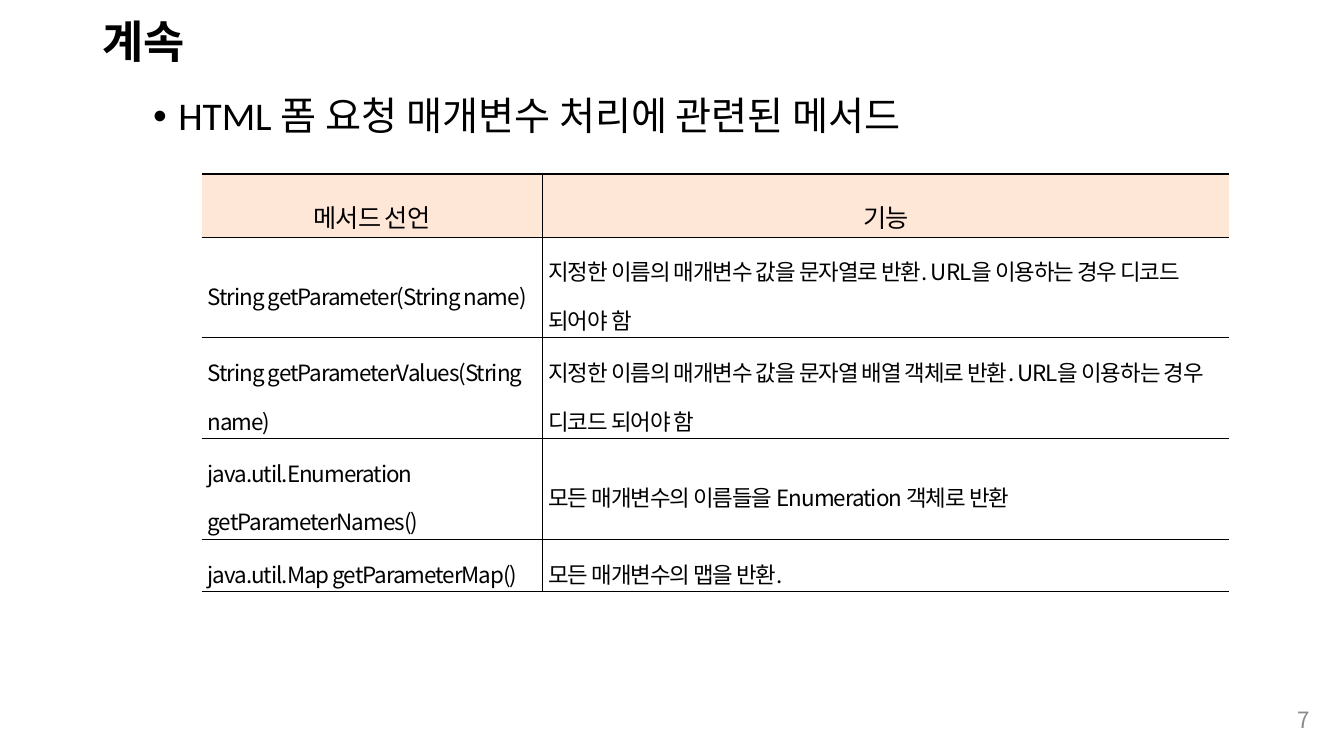
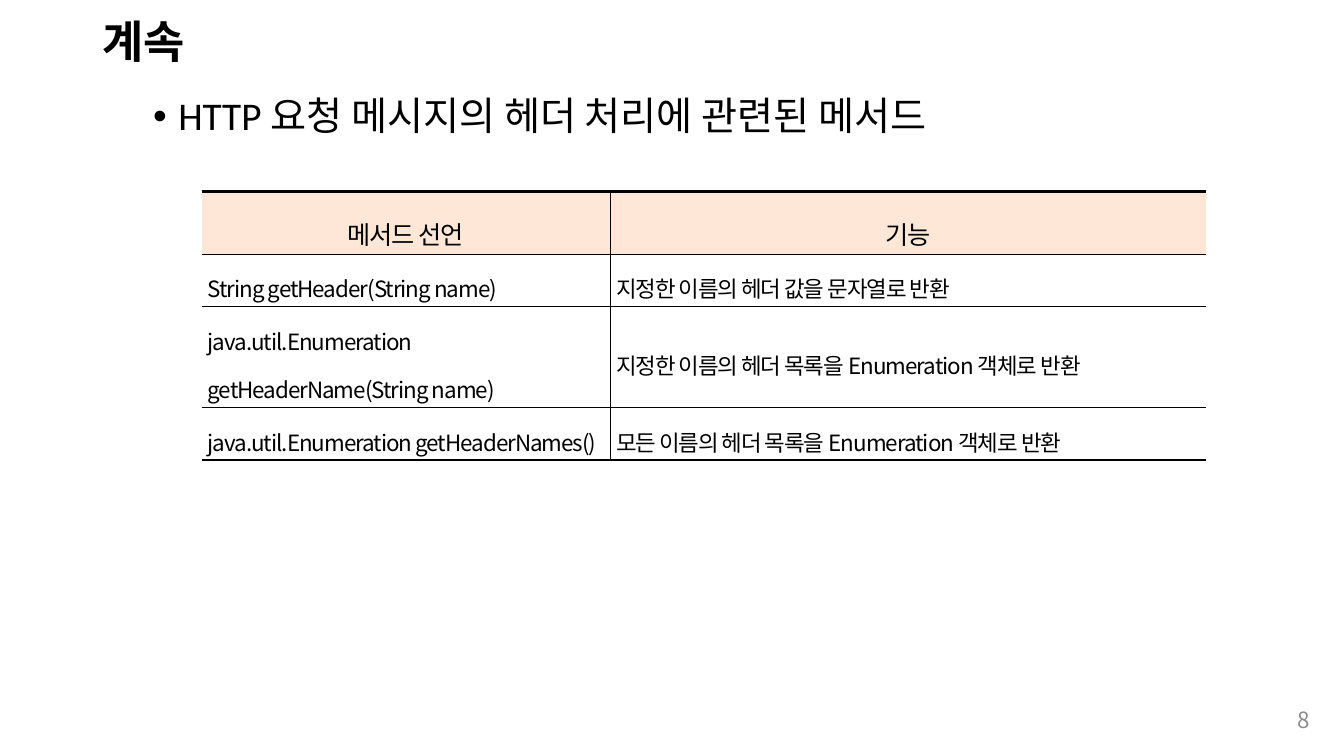
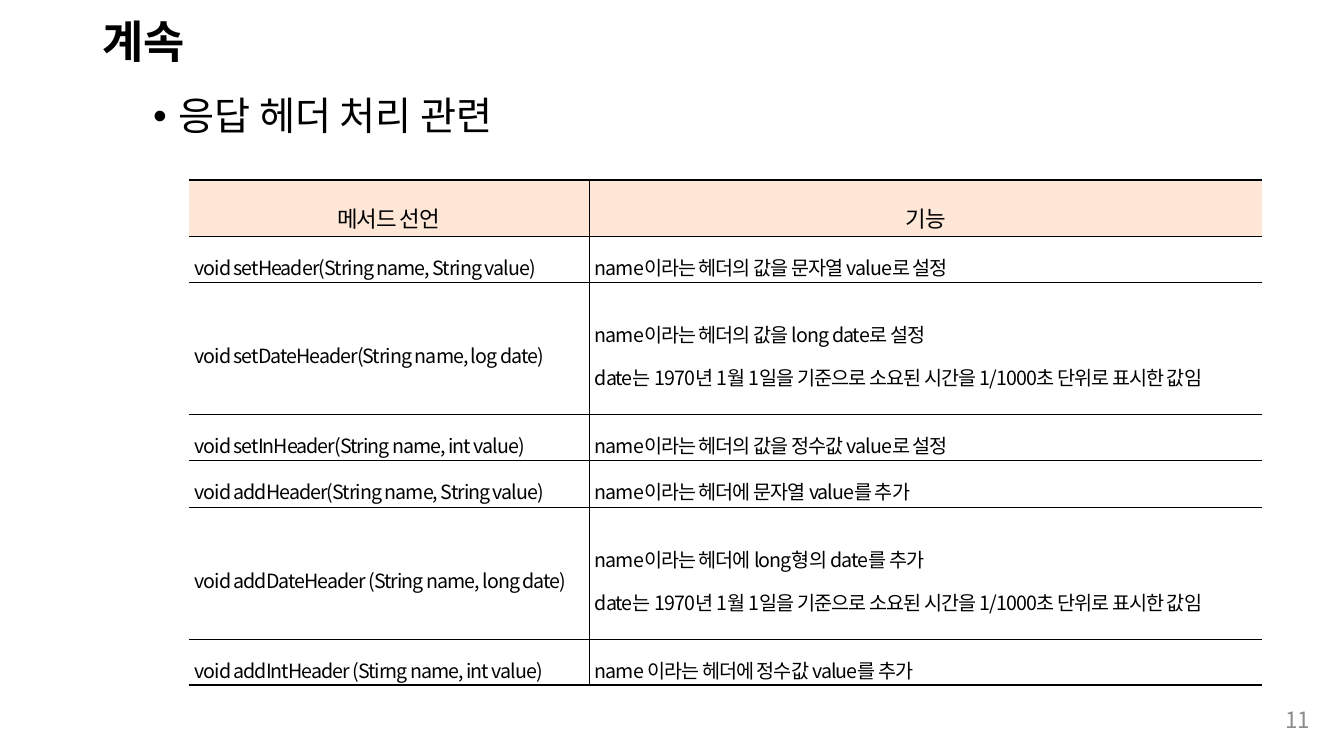
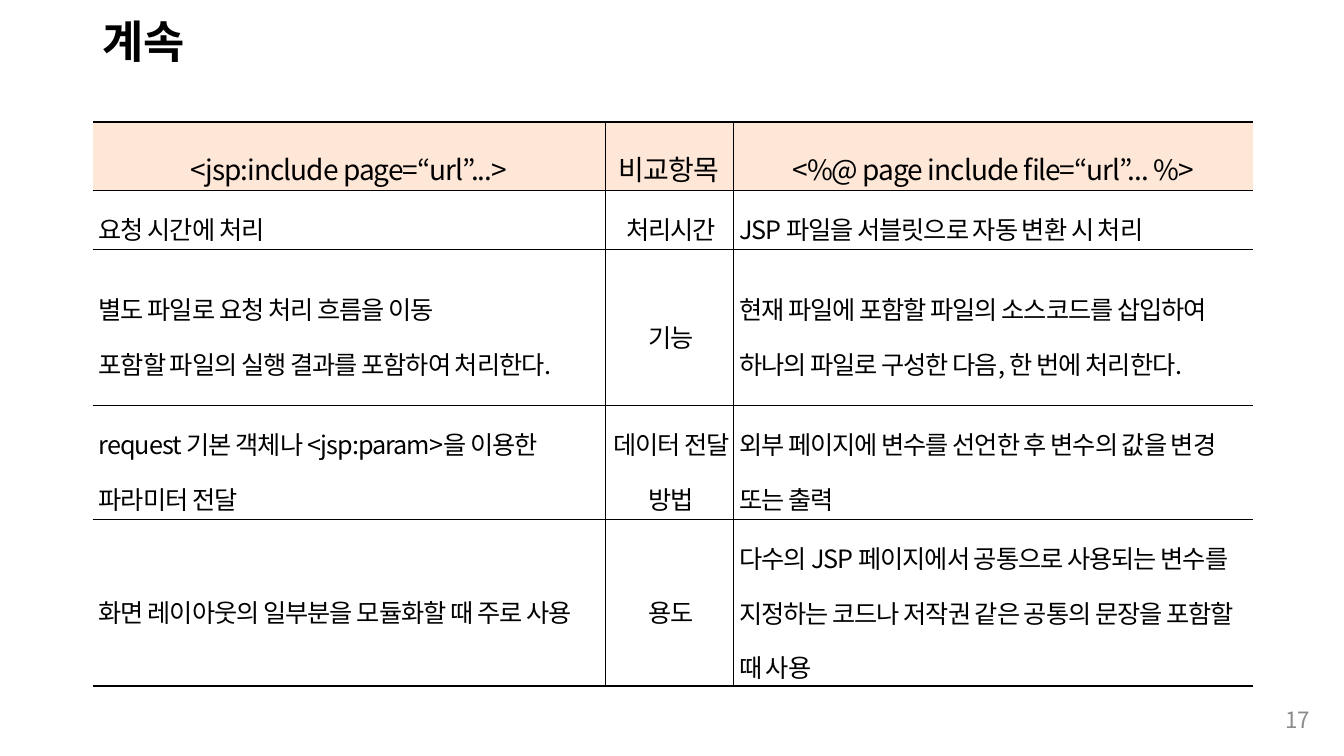
"""Build four slides of servlet and JSP method tables."""
from lxml.etree import SubElement
from pptx import Presentation
from pptx.dml.color import RGBColor
from pptx.enum.text import MSO_ANCHOR, PP_ALIGN
from pptx.oxml import parse_xml
from pptx.oxml.ns import nsdecls, qn
from pptx.util import Inches, Pt

BLACK = RGBColor(0x00, 0x00, 0x00)
GRAY = RGBColor(0x8C, 0x8C, 0x8C)
PEACH = RGBColor(0xFF, 0xE7, 0xD8)
LATIN = "Calibri"
KOREAN = "Noto Sans CJK KR"
THIN, THICK = Pt(0.28), Pt(1.7)
HEAD = ["메서드 선언", "기능"]
DATE = "date는 1970년 1월 1일을 기준으로 소요된 시간을 1/1000초 단위로 표시한 값임"

PAGES = [
    {
        "number": "7", "topic": "HTML 폼 요청 매개변수 처리에 관련된 메서드",
        "left": 2, "top": 1.73, "size": 16, "head": 18, "end": THIN,
        "cols": [3.38, 6.81], "heights": [0.62, 1, 1, 1, 0.52],
        "rows": [
            HEAD,
            ["String getParameter(String name)",
             "지정한 이름의 매개변수 값을 문자열로 반환. URL을 이용하는 경우 디코드 되어야 함"],
            ["String getParameterValues(String name)",
             "지정한 이름의 매개변수 값을 문자열 배열 객체로 반환. URL을 이용하는 경우 디코드 되어야 함"],
            ["java.util.Enumeration getParameterNames()",
             "모든 매개변수의 이름들을 Enumeration 객체로 반환"],
            ["java.util.Map getParameterMap()", "모든 매개변수의 맵을 반환."],
        ],
    },
    {
        "number": "8", "topic": "HTTP 요청 메시지의 헤더 처리에 관련된 메서드",
        "left": 2, "top": 1.9, "size": 16, "head": 18, "end": THICK,
        "cols": [4.05, 5.91], "heights": [0.62, 0.52, 1, 0.52],
        "rows": [
            HEAD,
            ["String getHeader(String name)", "지정한 이름의 헤더 값을 문자열로 반환"],
            ["java.util.Enumeration getHeaderName(String name)",
             "지정한 이름의 헤더 목록을 Enumeration 객체로 반환"],
            ["java.util.Enumeration getHeaderNames()",
             "모든 이름의 헤더 목록을 Enumeration 객체로 반환"],
        ],
    },
    {
        "number": "11", "topic": "응답 헤더 처리 관련",
        "left": 1.87, "top": 1.79, "size": 14, "head": 16, "end": THICK,
        "cols": [3.97, 6.68], "heights": [0.55, 0.46, 1.31, 0.46, 0.46, 1.31, 0.46],
        "rows": [
            HEAD,
            ["void setHeader(String name, String value)",
             "name이라는 헤더의 값을 문자열 value로 설정"],
            ["void setDateHeader(String name, log date)",
             "name이라는 헤더의 값을 long date로 설정\n" + DATE],
            ["void setInHeader(String name, int value)",
             "name이라는 헤더의 값을 정수값 value로 설정"],
            ["void addHeader(String name, String value)",
             "name이라는 헤더에 문자열 value를 추가"],
            ["void addDateHeader (String name, long date)",
             "name이라는 헤더에 long형의 date를 추가\n" + DATE],
            ["void addIntHeader (Stirng name, int value)",
             "name 이라는 헤더에 정수값 value를 추가"],
        ],
    },
    {
        "number": "17", "topic": None,
        "left": 0.92, "top": 1.21, "size": 18, "head": 20, "end": THICK,
        "cols": [5.08, 1.27, 5.16], "heights": [0.68, 0.58, 1.55, 1.13, 1.66],
        "rows": [
            ["<jsp:include page=“url”...>", "비교항목", "<%@ page include file=“url”... %>"],
            ["요청 시간에 처리", "처리시간", "JSP 파일을 서블릿으로 자동 변환 시 처리"],
            ["별도 파일로 요청 처리 흐름을 이동\n포함할 파일의 실행 결과를 포함하여 처리한다.", "기능",
             "현재 파일에 포함할 파일의 소스코드를 삽입하여 하나의 파일로 구성한 다음, 한 번에 처리한다."],
            ["request 기본 객체나 <jsp:param>을 이용한 파라미터 전달", "데이터 전달 방법",
             "외부 페이지에 변수를 선언한 후 변수의 값을 변경 또는 출력"],
            ["화면 레이아웃의 일부분을 모듈화할 때 주로 사용", "용도",
             "다수의 JSP 페이지에서 공통으로 사용되는 변수를 지정하는 코드나 저작권 같은 공통의 문장을 포함할 때 사용"],
        ],
    },
]


def style(para, size, name, color=BLACK, bold=False, align=PP_ALIGN.LEFT, space=1.0):
    """Style a paragraph and return its properties and font elements."""
    para.alignment = align
    para.line_spacing = space
    font = para.font
    font.size, font.name, font.bold = Pt(size), name, bold
    font.color.rgb = color
    props = para._p.get_or_add_pPr()
    chars = props.find(qn("a:defRPr"))
    SubElement(chars, qn("a:ea"), typeface=KOREAN)
    return props, chars


def add_text(slide, box, text, anchor=MSO_ANCHOR.MIDDLE):
    """Add a wrapped text box and return its paragraph."""
    frame = slide.shapes.add_textbox(*map(Inches, box)).text_frame
    frame.word_wrap = True
    frame.vertical_anchor = anchor
    frame.text = text
    return frame.paragraphs[0]


deck = Presentation()
deck.slide_width, deck.slide_height = Inches(13.33), Inches(7.5)

for page in PAGES:
    slide = deck.slides.add_slide(deck.slide_layouts[6])
    title = add_text(slide, (0.92, 0.06, 11.5, 0.75), "계속")
    style(title, 32, LATIN, bold=True, space=0.9)

    if page["topic"]:
        topic = add_text(slide, (0.92, 0.91, 11.5, 5.85), page["topic"], MSO_ANCHOR.TOP)
        props, chars = style(topic, 28, LATIN, space=0.9)
        topic.space_before = Pt(5)
        props.set("marL", str(Inches(0.75)))
        props.set("indent", str(Inches(-0.25)))
        chars.addprevious(parse_xml(f'<a:buFont {nsdecls("a")} typeface="Arial"/>'))
        chars.addprevious(parse_xml(f'<a:buChar {nsdecls("a")} char="•"/>'))

    number = add_text(slide, (12.52, 6.94, 0.57, 0.4), page["number"])
    style(number, 16, KOREAN, GRAY, align=PP_ALIGN.RIGHT)

    rows, cols, heights = page["rows"], page["cols"], page["heights"]
    area = map(Inches, (page["left"], page["top"], sum(cols), sum(heights)))
    table = slide.shapes.add_table(len(rows), len(cols), *area).table
    table.horz_banding = False
    for col, width in zip(table.columns, cols):
        col.width = Inches(width)
    for row, height in zip(table.rows, heights):
        row.height = Inches(height)

    for r, row in enumerate(rows):
        for c, text in enumerate(row):
            cell = table.cell(r, c)
            cell.text = text
            cell.vertical_anchor = MSO_ANCHOR.MIDDLE
            cell.margin_left = cell.margin_right = Inches(0.02)
            cell.margin_top = cell.margin_bottom = Inches(0.02)
            head = r == 0
            middle = 0 < c < len(cols) - 1
            for para in cell.text_frame.paragraphs:
                props, chars = style(
                    para, page["head"] if head else page["size"], KOREAN,
                    align=PP_ALIGN.CENTER if head or middle else PP_ALIGN.LEFT,
                    space=1.6 if head else 1.5)
                chars.set("spc", "-70")
                if not head:
                    props.set("marL", str(Inches(0.04)))
                    props.set("indent", "0")
            if head:
                cell.fill.solid()
                cell.fill.fore_color.rgb = PEACH
            else:
                cell.fill.background()
            edges = {
                "lnL": THIN if c else 0,
                "lnR": THIN if c < len(cols) - 1 else 0,
                "lnT": THICK if head else THIN,
                "lnB": page["end"] if r == len(rows) - 1 else THIN,
            }
            look = cell._tc.get_or_add_tcPr()
            for spot, (edge, width) in enumerate(edges.items()):
                paint = f'<a:solidFill><a:srgbClr val="{BLACK}"/></a:solidFill>' if width else "<a:noFill/>"
                look.insert(spot, parse_xml(
                    f'<a:{edge} {nsdecls("a")} w="{int(width)}">{paint}</a:{edge}>'))

deck.save("out.pptx")
